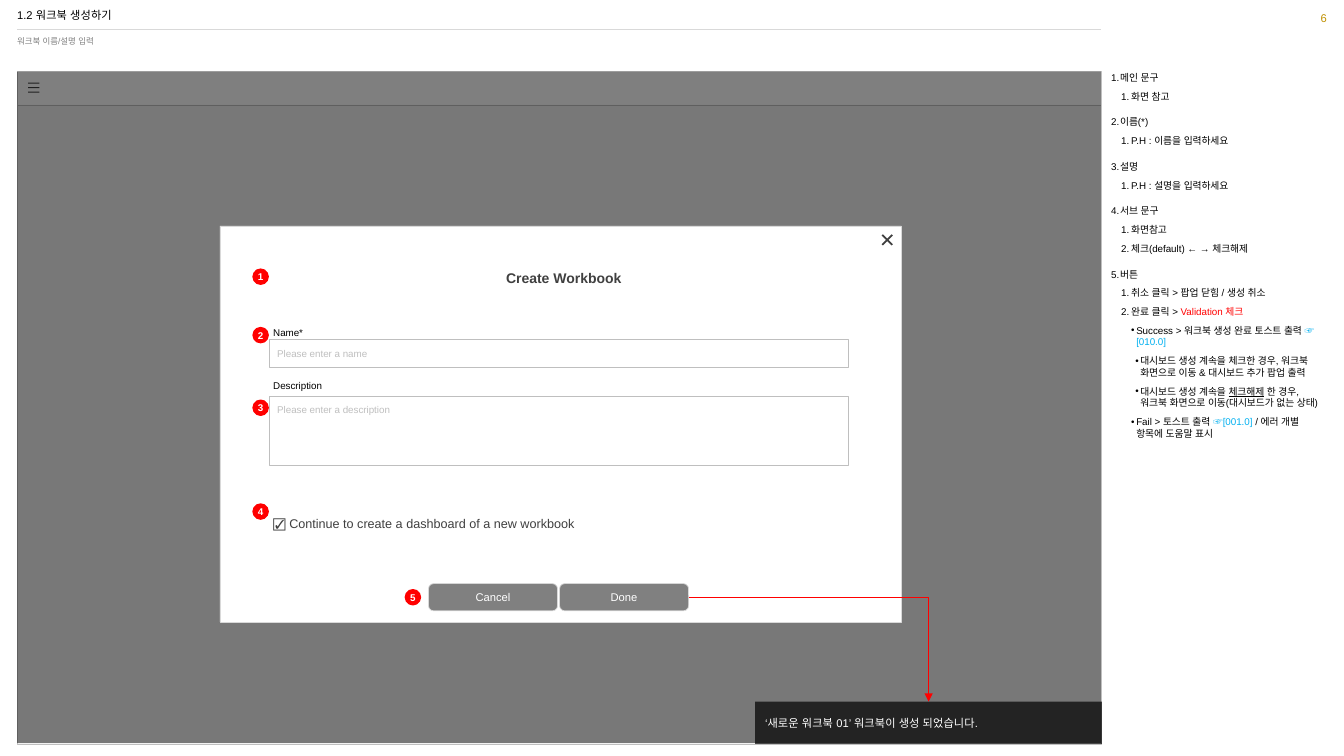
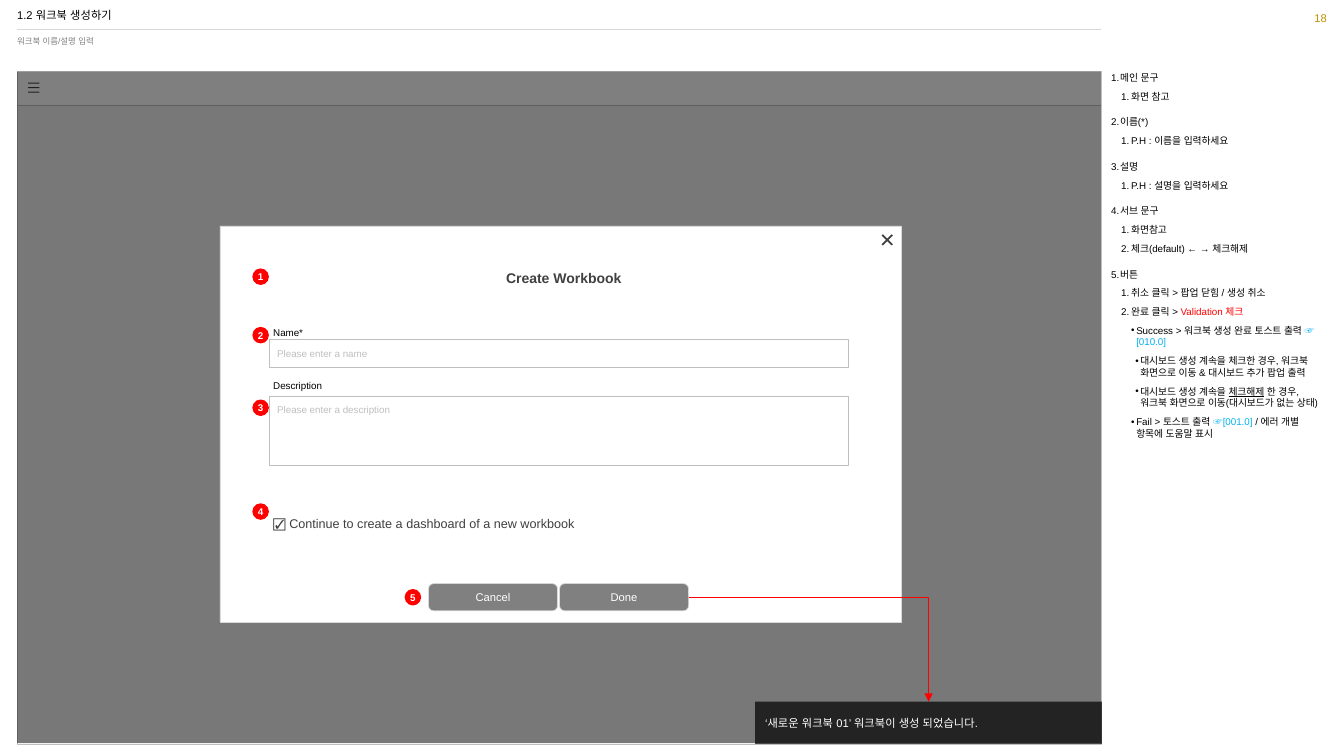
import pptx
import pptx.util
import pptx.dml.color
import pptx.enum.shapes
import pptx.enum.text
import pptx.oxml.ns
import lxml.etree

Inches, Pt = pptx.util.Inches, pptx.util.Pt
RGB = pptx.dml.color.RGBColor
KIND = pptx.enum.shapes.MSO_SHAPE
ALIGN = pptx.enum.text.PP_ALIGN
ANCHOR = pptx.enum.text.MSO_ANCHOR
qn = pptx.oxml.ns.qn

# Shared style
FONT = "Arial"
BLACK, WHITE = RGB(0, 0, 0), RGB(255, 255, 255)
DARK, GRAY = RGB(0x40, 0x40, 0x40), RGB(0x80, 0x80, 0x80)
EDGE, RULE = RGB(0xBF, 0xBF, 0xBF), RGB(0xD9, 0xD9, 0xD9)
PALE, GOLD = RGB(0xF2, 0xF2, 0xF2), RGB(0xBF, 0x90, 0)
RED, BLUE = RGB(255, 0, 0), RGB(0, 0xB0, 0xF0)

# Content
PAGES = ["6", "18"]
TITLE = "1.2 워크북 생성하기"
SUB = "워크북 이름/설명 입력"
TOAST = "‘새로운 워크북 01’ 워크북이 생성 되었습니다."
HEAD = "Create Workbook"
CHECK = "☑ Continue to create a dashboard of a new workbook"
BADGES = [("1", 2.51, 2.67), ("2", 2.51, 3.25), ("3", 2.51, 3.97),
          ("4", 2.51, 5), ("5", 4.02, 5.85)]
LABELS = [("Name*", 3.18), ("Description", 3.71)]
FIELDS = [("Please enter a name", 3.37, 0.27, ANCHOR.MIDDLE, 0),
          ("Please enter a description", 3.93, 0.69, ANCHOR.TOP, 0.08)]
BUTTONS = ["Cancel", "Done"]

# Notes: level, then text or a list of (text, run format)
NOTES = [
    (0, "메인 문구"),
    (1, "화면 참고"),
    (0, "이름(*)"),
    (1, "P.H : 이름을 입력하세요"),
    (0, "설명"),
    (1, "P.H : 설명을 입력하세요"),
    (0, "서브 문구"),
    (1, "화면참고"),
    (1, "체크(default) ← → 체크해제"),
    (0, "버튼"),
    (1, "취소 클릭 > 팝업 닫힘 / 생성 취소"),
    (1, [("완료 클릭 > ", {}), ("Validation 체크", {"color": RED})]),
    (2, [("Success > 워크북 생성 완료 토스트 출력 ", {}),
         ("☞[010.0]", {"color": BLUE})]),
    (3, "대시보드 생성 계속을 체크한 경우, 워크북 화면으로 이동 & "
        "대시보드 추가 팝업 출력"),
    (3, [("대시보드 생성 계속을 ", {}), ("체크해제", {"under": True}),
         (" 한 경우, 워크북 화면으로 이동(대시보드가 없는 상태)", {})]),
    (2, [("Fail > 토스트 출력 ", {}), ("☞[001.0] ", {"color": BLUE}),
         ("/ 에러 개별 항목에 도움말 표시", {})]),
]
# Per level: indent, hanging part, space before, bullet (None means numbers)
LEVELS = [(0.09, 0.09, 10, None), (0.2, 0.1, 5, None),
          (0.25, 0.05, 5, "•"), (0.29, 0.05, 5, "•")]

# Layout in inches
LEFT, WIDE, TOP, BAR = 0.17, 10.75, 0.71, 0.33
FORM_X, FORM_W = 2.67, 5.74
BTN_X, BTN_Y, BTN_W, BTN_H, BTN_GAP = 4.25, 5.79, 1.28, 0.27, 0.02
TOAST_X, TOAST_Y, DROP_X = 7.49, 6.96, 9.21


def add_run(para, text, size=8, color=BLACK, bold=False, under=False):
    run = para.add_run()
    run.text = text
    font = run.font
    font.size, font.name, font.bold = Pt(size), FONT, bold
    font.color.rgb = color
    if under:
        font.underline = True
    asian = lxml.etree.Element(qn("a:ea"), typeface=FONT)
    run.font._element.find(qn("a:latin")).addnext(asian)


def set_level(para, level, first):
    left, hang, before, mark = LEVELS[level]
    para.level = level
    if not first:
        para.space_before = Pt(before)
    props = para._p.get_or_add_pPr()
    props.set("marL", str(Inches(left)))
    props.set("indent", str(-Inches(hang)))
    lxml.etree.SubElement(props, qn("a:buFont"), typeface=FONT)
    if mark:
        lxml.etree.SubElement(props, qn("a:buChar"), char=mark)
    else:
        lxml.etree.SubElement(props, qn("a:buAutoNum"), type="arabicPeriod")


def write(shape, text, align=ALIGN.LEFT, anchor=ANCHOR.TOP,
          pad=(0, 0, 0, 0), lead=None, **style):
    """Put one text, or a list of (level, text) notes, into a shape."""
    frame = shape.text_frame
    frame.word_wrap = True
    frame.vertical_anchor = anchor
    (frame.margin_left, frame.margin_top,
     frame.margin_right, frame.margin_bottom) = map(Inches, pad)
    rows = [(None, text)] if isinstance(text, str) else text
    for i, (level, body) in enumerate(rows):
        para = frame.add_paragraph() if i else frame.paragraphs[0]
        para.alignment = align
        if lead:
            para.line_spacing = lead
        if level is not None:
            set_level(para, level, i == 0)
        runs = [(body, {})] if isinstance(body, str) else body
        for words, extra in runs:
            add_run(para, words, **{**style, **extra})


def add_text(slide, x, y, w, h, text, **style):
    box = slide.shapes.add_textbox(Inches(x), Inches(y), Inches(w), Inches(h))
    write(box, text, **style)


def add_box(slide, x, y, w, h, fill, line=None, width=0.25,
            kind=KIND.RECTANGLE, alpha=None, adjust=None):
    box = slide.shapes.add_shape(
        kind, Inches(x), Inches(y), Inches(w), Inches(h))
    box.shadow.inherit = False
    box.fill.solid()
    box.fill.fore_color.rgb = fill
    if alpha:
        tint = box.element.spPr.find(qn("a:solidFill")).find(qn("a:srgbClr"))
        lxml.etree.SubElement(tint, qn("a:alpha"), val=str(alpha * 1000))
    if line is None:
        box.line.fill.background()
    else:
        box.line.color.rgb = line
        box.line.width = Pt(width)
    if adjust:
        box.adjustments[0] = adjust
    return box


def add_line(slide, x1, y1, x2, y2, color, width, bent=False):
    kinds = pptx.enum.shapes.MSO_CONNECTOR
    line = slide.shapes.add_connector(
        kinds.ELBOW if bent else kinds.STRAIGHT,
        Inches(x1), Inches(y1), Inches(x2), Inches(y2))
    line.line.color.rgb = color
    line.line.width = Pt(width)
    props = line.element.spPr
    if bent:
        props.find(qn("a:prstGeom")).set("prst", "bentConnector2")
        lxml.etree.SubElement(
            props.find(qn("a:ln")), qn("a:tailEnd"), type="triangle")
    lxml.etree.SubElement(props, qn("a:effectLst"))


def add_frame(slide, page):
    """Dimmed app window, popup panel, header and page number."""
    add_box(slide, LEFT, TOP, WIDE, BAR, WHITE, EDGE)
    for i in range(3):
        add_box(slide, 0.28, 0.82 + i * 0.045, 0.11, 0.01, DARK)
    add_box(slide, LEFT, TOP + BAR, WIDE, 6.34, PALE, EDGE)
    add_box(slide, LEFT, TOP, WIDE, 6.66, BLACK, alpha=50)
    add_line(slide, LEFT, 0.29, LEFT + WIDE, 0.29, RULE, 0.25)
    add_box(slide, 2.18, 2.24, 6.76, 3.93, WHITE, RULE)
    close = add_box(slide, 8.73, 2.31, 0.14, 0.14, DARK,
                    kind=KIND.CROSS, adjust=0.44)
    close.rotation = 45
    add_text(slide, LEFT, 0.29, WIDE, 0.28, SUB, size=6, color=GRAY,
             pad=(0, 0.08, 0, 0), lead=0.9)
    add_text(slide, LEFT, 0.03, WIDE, 0.25, TITLE, anchor=ANCHOR.MIDDLE,
             lead=0.9)
    add_text(slide, 12.68, 0, 0.48, 0.29, page, color=GOLD,
             align=ALIGN.RIGHT, anchor=ANCHOR.BOTTOM, pad=(0, 0, 0, 0.04))


def add_form(slide):
    """Popup heading, fields, check line and buttons."""
    inset = {"pad": (0.2, 0.16, 0.1, 0.05), "lead": 1.5, "color": DARK}
    center = {"align": ALIGN.CENTER, "anchor": ANCHOR.MIDDLE, "color": WHITE}
    add_text(slide, 2.51, 4.88, FORM_W, 0.69, CHECK, size=9, **inset)
    add_text(slide, FORM_X, 2.43, FORM_W, 0.88, HEAD, size=10, bold=True,
             align=ALIGN.CENTER, **inset)
    for hint, y, h, anchor, pad in FIELDS:
        field = add_box(slide, FORM_X, y, FORM_W, h, WHITE, EDGE)
        write(field, hint, size=7, color=EDGE, anchor=anchor,
              pad=(0.08, pad, 0.1, pad))
    for label, y in LABELS:
        add_text(slide, FORM_X, y, 0.87, 0.2, label, size=7,
                 pad=(0.04, 0, 0, 0), lead=1.5)
    for i, label in enumerate(BUTTONS):
        button = add_box(slide, BTN_X + i * (BTN_W + BTN_GAP), BTN_Y,
                         BTN_W, BTN_H, GRAY, RULE, 0.5,
                         kind=KIND.ROUNDED_RECTANGLE, adjust=0.19)
        write(button, label, **center)
    for mark, x, y in BADGES:
        badge = add_box(slide, x, y, 0.15, 0.15, RED, RED, 1, kind=KIND.OVAL)
        write(badge, mark, size=7, bold=True, **center)


def add_toast(slide):
    """Message bar and the arrow that leads to it."""
    toast = add_box(slide, TOAST_X, TOAST_Y, 3.44, 0.42, BLACK, alpha=70)
    write(toast, TOAST, color=WHITE, anchor=ANCHOR.MIDDLE,
          pad=(0.1, 0.05, 0.1, 0.05))
    add_line(slide, BTN_X + 2 * BTN_W + BTN_GAP, BTN_Y + BTN_H / 2,
             DROP_X, TOAST_Y, RED, 0.5, bent=True)


def main():
    deck = pptx.Presentation()
    deck.slide_width, deck.slide_height = Inches(13.33), Inches(7.5)
    for page in PAGES:
        slide = deck.slides.add_slide(deck.slide_layouts[6])
        add_frame(slide, page)
        add_text(slide, 11.02, TOP, 2.14, 6.79, NOTES, size=7)
        add_form(slide)
        add_toast(slide)
    deck.save("out.pptx")


if __name__ == "__main__":
    main()
